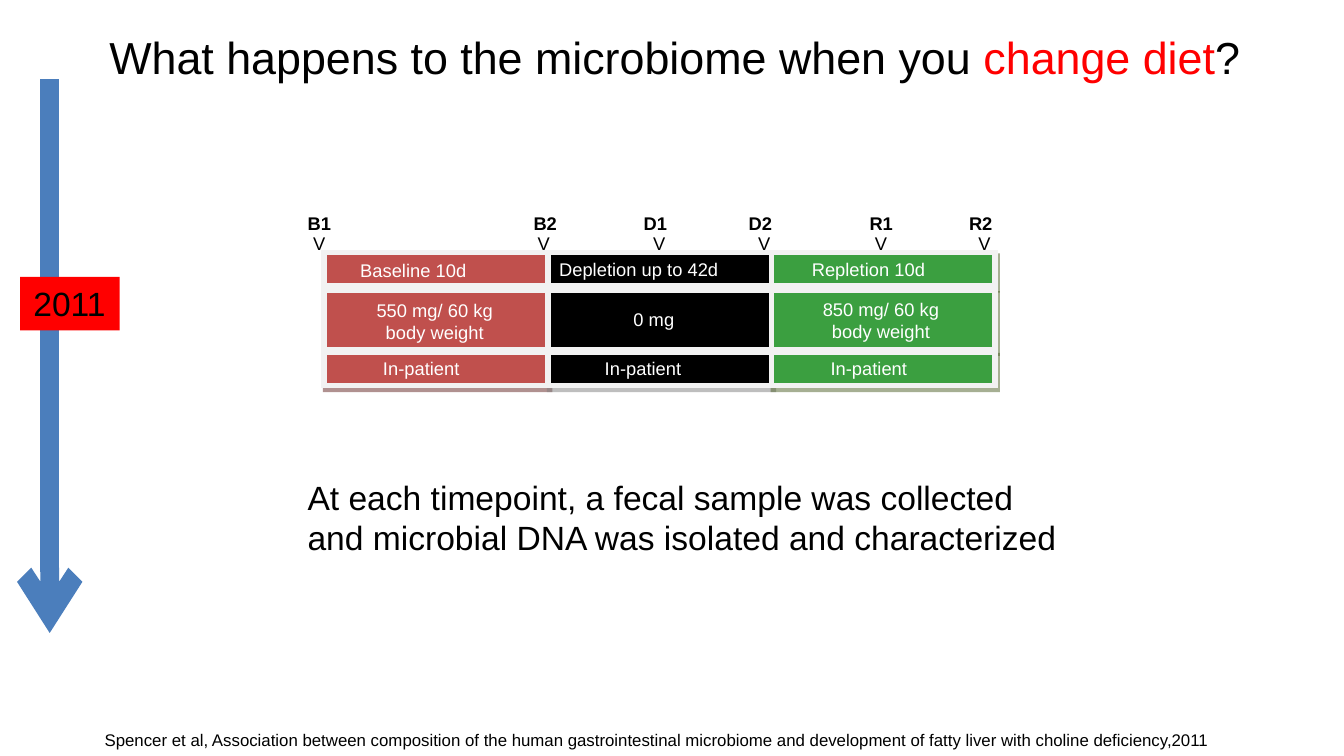
from lxml import etree
from pptx import Presentation
from pptx import util as u
from pptx.dml.color import RGBColor
from pptx.enum import shapes, text
from pptx.oxml import parse_xml
from pptx.oxml.ns import qn

NS = "http://schemas.openxmlformats.org/drawingml/2006/main"
HUES = {"black": "000000", "white": "FFFFFF", "red": "FF0000",
        "blue": "4B7EBC", "brick": "C0504D", "green": "3B9F40",
        "edge": "F2F2F2"}

# Content
TITLE = [("What happens to the microbiome when you ", "black"),
         ("change diet", "red"), ("?", "black")]
NOTE = ("At each timepoint, a fecal sample was collected\n"
        "and microbial DNA was isolated and characterized")
CITE = ("Spencer et al, Association between composition of the human "
        "gastrointestinal microbiome and development of fatty liver "
        "with choline deficiency,2011")
# Study phases: fill, shadow, then (label, left, top, width) for each row
PHASES = [
    ("brick", "622423", [("Baseline 10d", 2.64, 1.91, 0.9),
                         ("550 mg/ 60 kg\nbody weight", 2.75, 2.21, 0.97),
                         ("In-patient", 2.81, 2.64, 0.67)]),
    ("black", "7F7F7F", [("Depletion up to 42d", 4.12, 1.9, 1.29),
                         ("0 mg", 4.67, 2.27, 0.39),
                         ("In-patient", 4.46, 2.64, 0.67)]),
    ("green", "4E6128", [("Repletion 10d", 6, 1.9, 0.95),
                         ("850 mg/ 60 kg\nbody weight", 6.07, 2.2, 0.97),
                         ("In-patient", 6.14, 2.64, 0.67)]),
]
ROWS = [(1.88, 0.25), (2.16, 0.44), (2.62, 0.25)]  # top, height
LEFT, WIDE = 2.41, 1.665
# Sampling points: name, left of name, left of tick
POINTS = [("B1", 2.25, 2.29), ("B2", 3.93, 3.96), ("D1", 4.75, 4.82),
          ("D2", 5.53, 5.6), ("R1", 6.43, 6.47), ("R2", 7.17, 7.24)]


def tint(hue):
    return RGBColor.from_string(HUES[hue])


def style(run, size, hue, bold=False):
    run.font.name = "Arial"
    run.font.size = u.Pt(size)
    run.font.bold = bold
    run.font.color.rgb = tint(hue)


def label(home, words, box, size, hue="black", bold=False, mid=False,
          wrap=False, pad=(0.1, 0.05)):
    item = home.add_textbox(*map(u.Inches, box))
    frame = item.text_frame
    frame.text = words
    frame.word_wrap = wrap
    frame.auto_size = text.MSO_AUTO_SIZE.SHAPE_TO_FIT_TEXT
    frame.margin_left = frame.margin_right = u.Inches(pad[0])
    frame.margin_top = frame.margin_bottom = u.Inches(pad[1])
    for para in frame.paragraphs:
        para.alignment = text.PP_ALIGN.CENTER if mid else text.PP_ALIGN.LEFT
        for run in para.runs:
            style(run, size, hue, bold)
    return item


def small(home, words, box, **opts):
    return label(home, words, box, 9.8, pad=(0.04, 0.02), **opts)


def block(home, box, hue, shade):
    item = home.add_shape(shapes.MSO_SHAPE.RECTANGLE, *map(u.Inches, box))
    item.fill.solid()
    item.fill.fore_color.rgb = tint(hue)
    item.line.color.rgb = tint("edge")
    item.line.width = u.Pt(3)
    etree.SubElement(item.line._get_or_add_ln(), qn("a:miter"), lim="800000")
    item._element.spPr.append(parse_xml(
        f'<a:effectLst xmlns:a="{NS}"><a:outerShdw blurRad="0" '
        f'dist="{u.Pt(2.2)}" dir="{63 * 60000}" algn="ctr" rotWithShape="0">'
        f'<a:srgbClr val="{shade}"><a:alpha val="50000"/></a:srgbClr>'
        '</a:outerShdw></a:effectLst>'))


deck = Presentation()
deck.slide_width = u.Inches(10)
deck.slide_height = deck.slide_width * 9 // 16
slide = deck.slides.add_slide(deck.slide_layouts[5])

# Title
head = slide.shapes.title
head.left, head.top, head.width, head.height = map(
    u.Inches, (0.52, 0.17, 9, 1.12))
frame = head.text_frame
frame.vertical_anchor = text.MSO_ANCHOR.TOP
frame.margin_top = u.Inches(0.05)
para = frame.paragraphs[0]
para.alignment = text.PP_ALIGN.CENTER
for words, hue in TITLE:
    run = para.add_run()
    run.text = words
    style(run, 24, hue)

# Study design, row by row
study = slide.shapes.add_group_shape().shapes
for row, (top, high) in enumerate(ROWS):
    for col, (hue, shade, _) in enumerate(PHASES):
        block(study, (LEFT + col * WIDE, top, WIDE, high), hue, shade)
    for _, _, cells in PHASES:
        words, x, y, wide = cells[row]
        tall = 0.37 if "\n" in words else 0.21
        small(study, words, (x, y, wide, tall), hue="white", mid=row == 1)

# Sampling points above the phases
for name, x, tick in POINTS:
    small(study, "V", (tick, 1.71, 0.18, 0.21))
    small(study, name, (x, 1.56, 0.26, 0.21), bold=True)

# Note and citation
label(slide.shapes, NOTE, (2.19, 3.5, 5.83, 0.71), 18)
label(slide.shapes, CITE, (0.68, 5.38, 11.58, 0.25), 9, wrap=True)

# Timeline arrow with its year
arrow = slide.shapes.add_connector(
    shapes.MSO_CONNECTOR.STRAIGHT,
    *map(u.Inches, (0.37, 0.59, 0.37, 4.71)))
arrow.line.color.rgb = tint("blue")
arrow.line.width = u.Pt(10)
etree.SubElement(arrow.line._get_or_add_ln(), qn("a:tailEnd"), type="arrow")
etree.SubElement(arrow._element.spPr, qn("a:effectLst"))
year = label(slide.shapes, "2011", (0.15, 2.06, 0.74, 0.4), 18)
year.fill.solid()
year.fill.fore_color.rgb = tint("red")

deck.save("out.pptx")
